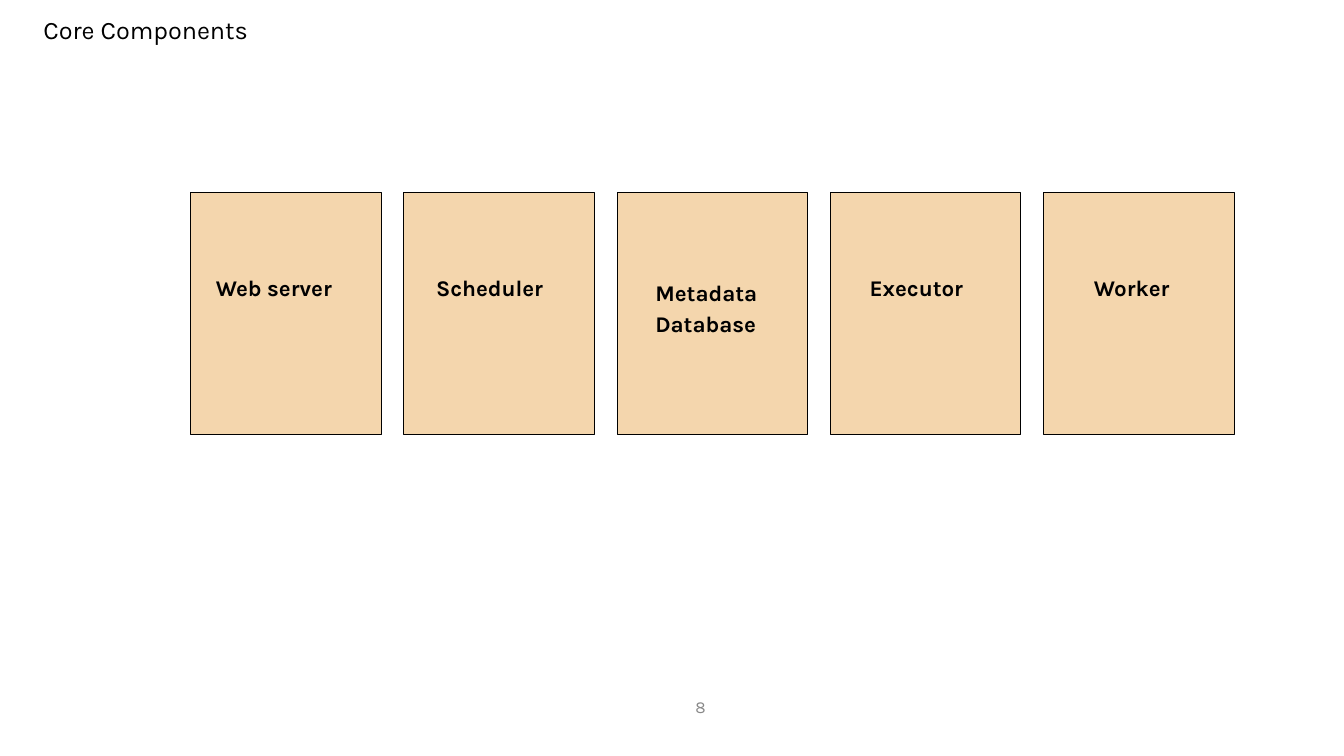
"""Builds the Core Components slide."""
from dataclasses import dataclass

from pptx import Presentation
from pptx.dml.color import RGBColor
from pptx.enum.shapes import MSO_SHAPE
from pptx.enum.text import MSO_ANCHOR, PP_ALIGN
from pptx.util import Inches, Pt


@dataclass(frozen=True)
class Theme:
    font: str = "Karla"
    ink: str = "000000"
    muted: str = "888888"
    sand: str = "F4D6AD"
    title_size: int = 18
    label_size: int = 16
    number_size: int = 12


class SlideBuilder:
    def __init__(self, page, theme):
        self.page = page
        self.theme = theme

    def set_text(self, shape, text, size, color, left=0, top=0,
                 bold=False, align=PP_ALIGN.LEFT, spacing=1.0):
        frame = shape.text_frame
        frame.word_wrap = True
        frame.vertical_anchor = MSO_ANCHOR.TOP
        frame.margin_left, frame.margin_top = Inches(left), Inches(top)
        frame.margin_right = frame.margin_bottom = 0
        frame.text = text
        para = frame.paragraphs[0]
        para.alignment = align
        para.line_spacing = spacing
        para.font.name = self.theme.font
        para.font.size = Pt(size)
        para.font.bold = bold
        para.font.color.rgb = RGBColor.from_string(color)

    def title(self, text):
        title = self.page.shapes.title
        title.left, title.top = Inches(0), Inches(0.12)
        title.width, title.height = Inches(13.33), Inches(0.57)
        self.set_text(title, text, self.theme.title_size, self.theme.ink, left=0.43, top=0.02)

    def card(self, text, left, indent, spacing):
        card = self.page.shapes.add_shape(
            MSO_SHAPE.RECTANGLE, Inches(left), Inches(1.91), Inches(1.89), Inches(2.4))
        card.shadow.inherit = False
        card.fill.solid()
        card.fill.fore_color.rgb = RGBColor.from_string(self.theme.sand)
        card.line.color.rgb = RGBColor.from_string(self.theme.ink)
        card.line.width = Pt(0.75)
        self.set_text(card, text, self.theme.label_size, self.theme.ink,
                      left=indent, top=0.81, bold=True, spacing=spacing)

    def page_number(self, text):
        box = self.page.shapes.add_textbox(
            Inches(3.93), Inches(6.91), Inches(3.07), Inches(0.38))
        self.set_text(box, text, self.theme.number_size, self.theme.muted, align=PP_ALIGN.RIGHT)


def main():
    deck = Presentation()
    deck.slide_width, deck.slide_height = Inches(13.33), Inches(7.5)
    builder = SlideBuilder(deck.slides.add_slide(deck.slide_layouts[5]), Theme())
    builder.title("Core Components")
    components = [
        ("Web server", 0.25, 1.0),
        ("Scheduler", 0.32, 1.0),
        ("Metadata Database", 0.38, 1.18),
        ("Executor", 0.39, 1.0),
        ("Worker", 0.5, 1.0),
    ]
    first_left, last_left = 1.89, 10.35
    pitch = (last_left - first_left) / (len(components) - 1)
    for column, (name, indent, spacing) in enumerate(components):
        builder.card(name, first_left + column * pitch, indent, spacing)
    builder.page_number("8")
    deck.save("out.pptx")


if __name__ == "__main__":
    main()
